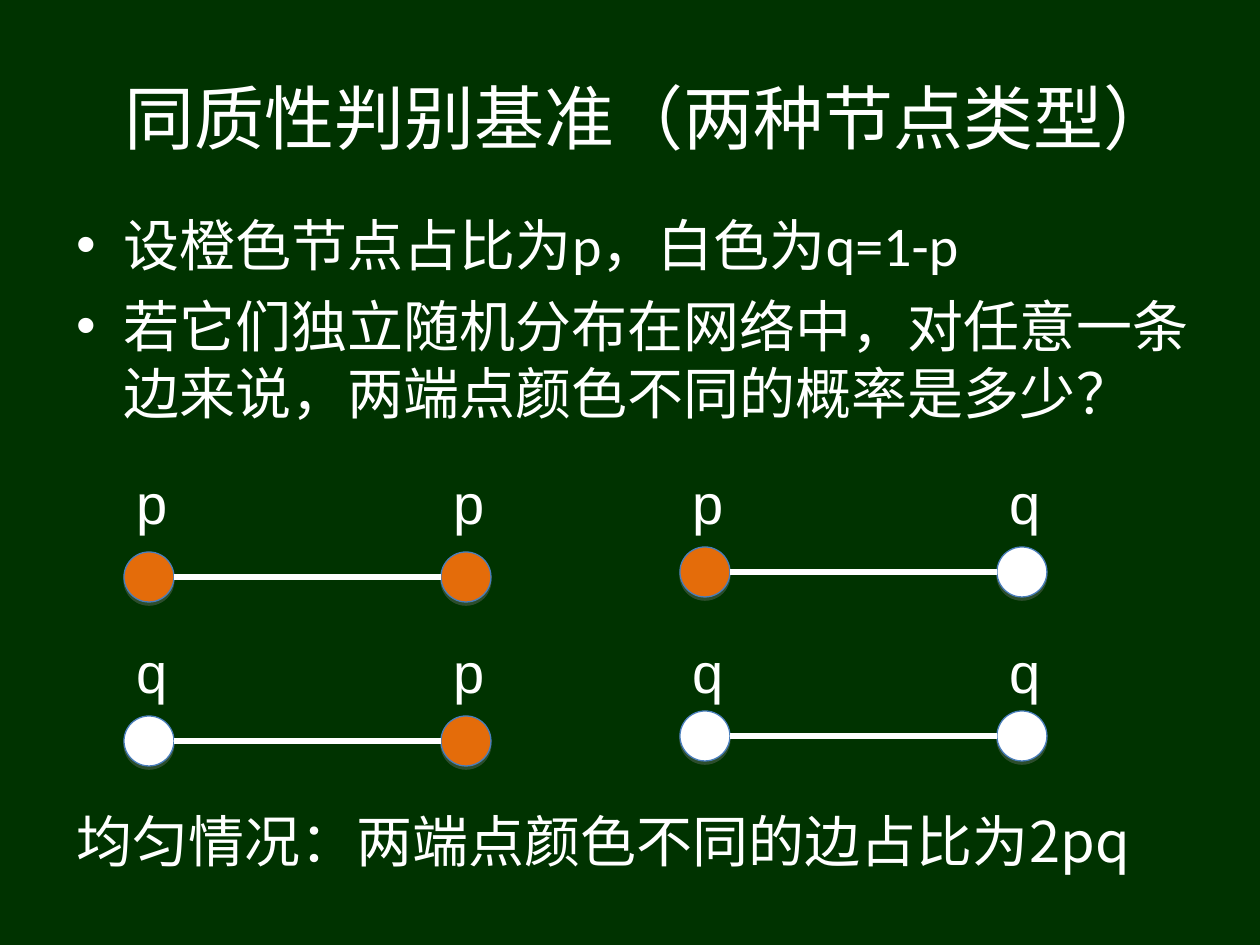
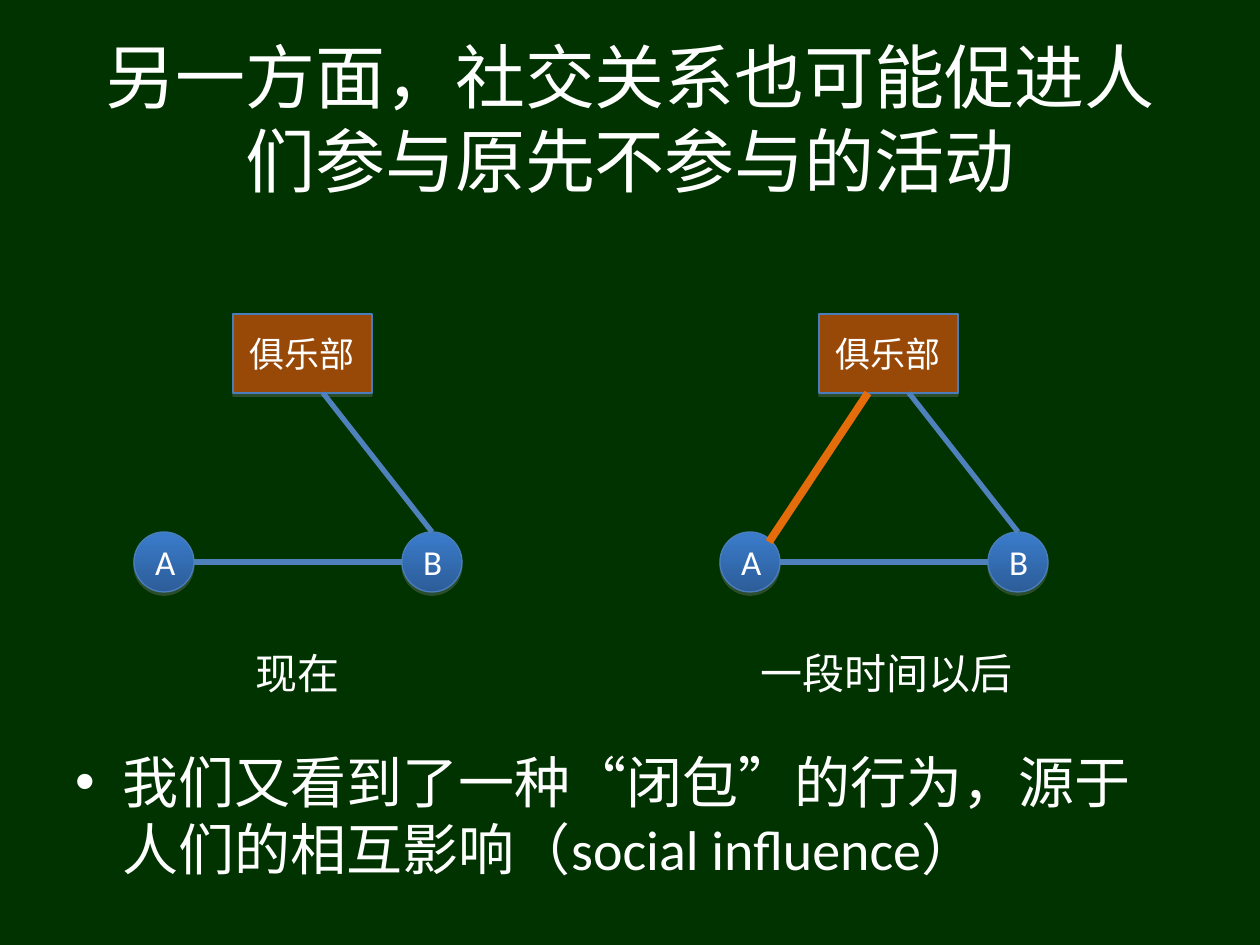
from dataclasses import dataclass

from lxml import etree
from pptx import Presentation
from pptx.dml.color import RGBColor
from pptx.enum.lang import MSO_LANGUAGE_ID
from pptx.enum.shapes import MSO_CONNECTOR, MSO_SHAPE
from pptx.enum.text import MSO_ANCHOR, PP_ALIGN
from pptx.oxml.ns import qn
from pptx.util import Pt

LEFT, CENTER = PP_ALIGN.LEFT, PP_ALIGN.CENTER
TOP, MIDDLE = MSO_ANCHOR.TOP, MSO_ANCHOR.MIDDLE
OVAL, RECT = MSO_SHAPE.OVAL, MSO_SHAPE.RECTANGLE
STRAIGHT = MSO_CONNECTOR.STRAIGHT
CHINESE = MSO_LANGUAGE_ID.SIMPLIFIED_CHINESE
SCALE = 914400 / 126


@dataclass(frozen=True)
class Theme:
    ground: str = "003300"
    white: str = "FFFFFF"
    orange: str = "E46C0A"
    brown: str = "984807"
    rim: str = "4A7EBB"
    edge: str = "4F81BD"
    shade: str = "808080"
    blues: tuple = ("3A7CCB", "2C5D98")
    head: int = 40
    body: int = 32
    note: int = 24
    small: int = 20
    han: str = "Noto Sans CJK SC"
    latin: str = "Calibri"
    sign: str = "Arial"


THEME = Theme()


def px(*values):
    return [round(v * SCALE) for v in values]


def rgb(code):
    return RGBColor.from_string(code)


def style(par, text, size, face, align=LEFT):
    par.alignment = align
    run = par.add_run()
    run.text = text
    look = {"size": Pt(size), "name": face, "language_id": CHINESE}
    for key, value in look.items():
        setattr(run.font, key, value)
    run.font.color.rgb = rgb(THEME.white)
    east = etree.SubElement(run.font._element, qn("a:ea"))
    east.set("typeface", THEME.han)


def add_text(slide, box, text, size, face=THEME.han, align=LEFT,
             anchor=TOP, wrap=True):
    frame = slide.shapes.add_textbox(*px(*box)).text_frame
    frame.word_wrap = wrap
    frame.vertical_anchor = anchor
    style(frame.paragraphs[0], text, size, face, align)


def add_title(slide, text, width):
    add_text(slide, (63, 38, width, 158), text, THEME.head,
             align=CENTER, anchor=MIDDLE)


def add_bullets(slide, box, items):
    frame = slide.shapes.add_textbox(*px(*box)).text_frame
    frame.word_wrap = True
    for i, item in enumerate(items):
        par = frame.add_paragraph() if i else frame.paragraphs[0]
        par.space_before = Pt(8 if i else 0)
        props = par._p.get_or_add_pPr()
        props.set("marL", "342900")
        props.set("indent", "-342900")
        tint = etree.SubElement(props, qn("a:buClr"))
        etree.SubElement(tint, qn("a:srgbClr")).set("val", THEME.white)
        etree.SubElement(props, qn("a:buFont")).set("typeface", THEME.sign)
        etree.SubElement(props, qn("a:buChar")).set("char", "•")
        style(par, item, THEME.body, THEME.latin)


def drop_shade(shape):
    """Give the shape a thin hard shadow straight below it."""
    shape.shadow.inherit = False
    effects = shape._element.spPr.find(qn("a:effectLst"))
    outer = etree.SubElement(effects, qn("a:outerShdw"))
    for key, value in {"blurRad": 0, "dist": Pt(1.8), "dir": 5400000,
                       "rotWithShape": 0}.items():
        outer.set(key, str(value))
    tint = etree.SubElement(outer, qn("a:srgbClr"))
    tint.set("val", THEME.shade)
    etree.SubElement(tint, qn("a:alpha")).set("val", "35000")


def add_node(slide, kind, box, fill, text="", face=THEME.latin):
    """Draw a filled node; a pair of colours makes a gradient going down."""
    node = slide.shapes.add_shape(kind, *px(*box))
    if isinstance(fill, tuple):
        node.fill.gradient()
        node.fill.gradient_angle = 270
        for stop, code in zip(node.fill.gradient_stops, fill):
            stop.color.rgb = rgb(code)
    else:
        node.fill.solid()
        node.fill.fore_color.rgb = rgb(fill)
    node.line.color.rgb = rgb(THEME.rim)
    node.line.width = Pt(0.75)
    drop_shade(node)
    if text:
        frame = node.text_frame
        frame.vertical_anchor = MIDDLE
        style(frame.paragraphs[0], text, THEME.small, face, CENTER)


def add_edge(slide, ends, color, width=3):
    edge = slide.shapes.add_connector(STRAIGHT, *px(*ends))
    edge.line.color.rgb = rgb(color)
    edge.line.width = Pt(width)
    etree.SubElement(edge._element.spPr, qn("a:effectLst"))


def add_pair(slide, x, y, sign_y, signs):
    """Draw two joined nodes, p in orange and q in white."""
    size, step = 50, 317
    fills = {"p": THEME.orange, "q": THEME.white}
    for i, sign in enumerate(signs):
        left = x + i * step
        add_node(slide, OVAL, (left, y, size, size), fills[sign])
        add_text(slide, (left, sign_y, 57, 81), sign, THEME.body,
                 THEME.sign, wrap=False)
    mid = y + size // 2
    add_edge(slide, (x + size, mid, x + step, mid), THEME.white)


def add_club(slide, x, y, closed):
    """Draw a club above friends A and B; closed adds the edge from A."""
    size, step, drop = 60, 268, 218
    add_node(slide, RECT, (x + 99, y, 139, 79), THEME.brown,
             "俱乐部", THEME.han)
    for i, name in enumerate("AB"):
        add_node(slide, OVAL, (x + i * step, y + drop, size, size),
                 THEME.blues, name)
    mid = y + drop + size // 2
    add_edge(slide, (x + size, mid, x + step, mid), THEME.edge)
    add_edge(slide, (x + step + size // 2, y + drop, x + 189, y + 79),
             THEME.edge)
    if closed:
        add_edge(slide, (x + 49, y + 228, x + 148, y + 79),
                 THEME.orange, 4.5)


def add_slide(deck):
    slide = deck.slides.add_slide(deck.slide_layouts[6])
    slide.background.fill.solid()
    slide.background.fill.fore_color.rgb = rgb(THEME.ground)
    return slide


def build_odds(deck):
    slide = add_slide(deck)
    add_title(slide, "同质性判别基准（两种节点类型）", 1172)
    add_bullets(slide, (64, 204, 1143, 252), [
        "设橙色节点占比为p，白色为q=1-p",
        "若它们独立随机分布在网络中，对任意一条边来说，"
        "两端点颜色不同的概率是多少？",
    ])
    for row, pairs in enumerate([("pp", "pq"), ("qp", "qq")]):
        for col, signs in enumerate(pairs):
            add_pair(slide, 124 + 556 * col, 552 + 164 * row - 5 * col,
                     462 + 169 * row, signs)
    add_text(slide, (64, 800, 1150, 81),
             "均匀情况：两端点颜色不同的边占比为2pq", THEME.body)


def build_bond(deck):
    slide = add_slide(deck)
    add_title(slide, "另一方面，社交关系也可能促进人们参与原先不参与的活动",
              1134)
    add_bullets(slide, (63, 741, 1134, 159), [
        "我们又看到了一种“闭包”的行为，"
        "源于人们的相互影响（social influence）",
    ])
    stages = [("现在", 243, 110), ("一段时间以后", 748, 287)]
    for i, (label, left, width) in enumerate(stages):
        add_club(slide, 134 + 586 * i, 314, closed=i == 1)
        add_text(slide, (left, 641, width, 63), label, THEME.note)


def main():
    deck = Presentation()
    deck.slide_width, deck.slide_height = px(1260, 945)
    build_odds(deck)
    build_bond(deck)
    deck.save("out.pptx")


if __name__ == "__main__":
    main()
